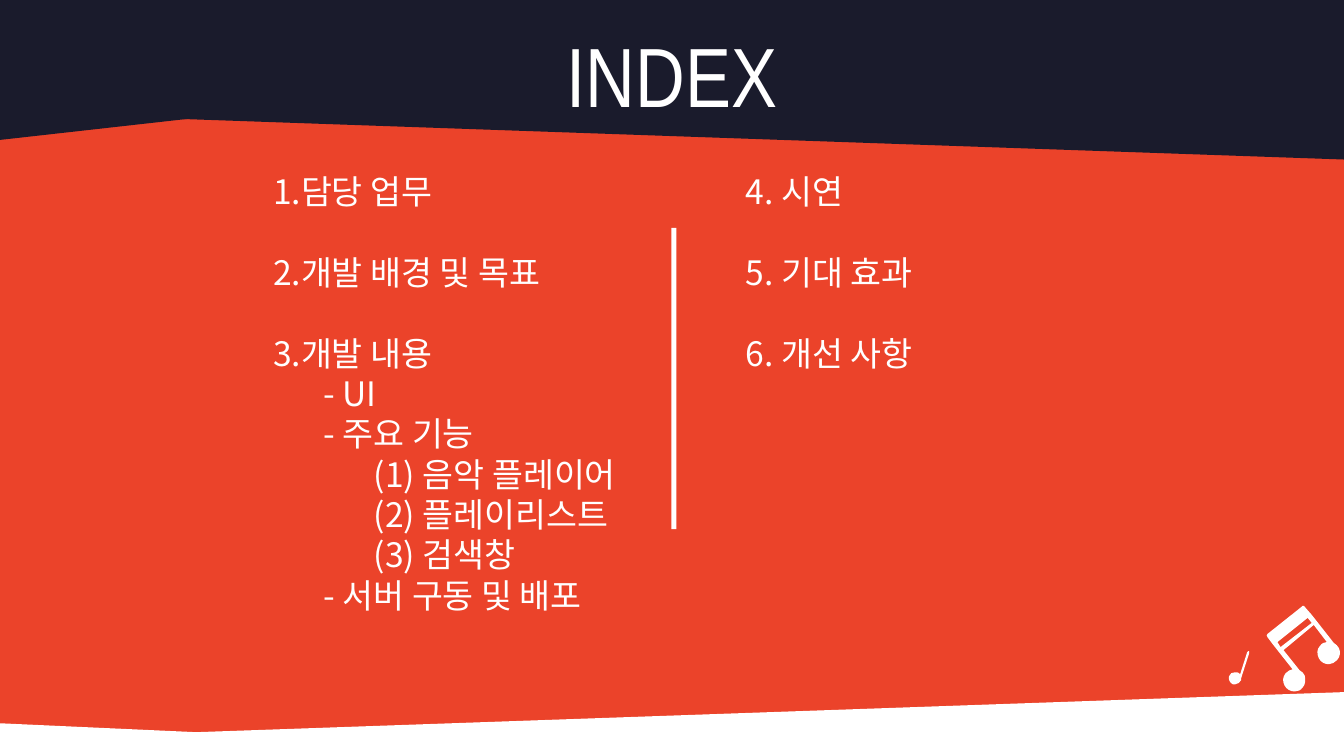
from lxml import etree
from pptx import Presentation
from pptx import util as u
from pptx.dml.color import RGBColor
from pptx.enum import shapes, text
from pptx.oxml import ns

COLORS = {"coral": "EB432A", "navy": "1A1B2C", "white": "FFFFFF"}
TITLE_FORMAT = {"name": "Arial Narrow", "size": u.Pt(60)}
LIST_FORMAT = {"name": "Noto Sans CJK KR", "size": u.Pt(24)}
LINE = u.Pt(28.8)

BANDS = [
    (-0.09, -0.72, 13.51, 2.07, 2, "navy"),
    (-0.11, 7.1, 13.54, 1.56, 358, "white"),
    (-1.3, -1.3, 13.51, 2.07, 353.6, "navy"),
    (-2.29, 7.38, 13.54, 1.56, 2.6, "white"),
]
LEFT_ITEMS = [
    ("담당 업무", 0),
    ("개발 배경 및 목표", 0),
    ("개발 내용", 0),
    ("- UI", 1),
    ("- 주요 기능", 1),
    ("(1) 음악 플레이어", 2),
    ("(2) 플레이리스트", 2),
    ("(3) 검색창", 2),
    ("- 서버 구동 및 배포", 1),
]
RIGHT_ITEMS = [("4. 시연", 0), ("5. 기대 효과", 0), ("6. 개선 사항", 0)]

SINGLE_NOTE = [[
    (12.38, 6.46), (12.38, 6.46, 12.37, 6.46, 12.37, 6.47), (12.3, 6.69),
    (12.29, 6.68, 12.28, 6.67, 12.27, 6.67), (12.26, 6.67, 12.25, 6.67, 12.25, 6.67),
    (12.22, 6.67, 12.2, 6.68, 12.19, 6.71), (12.18, 6.74, 12.2, 6.78, 12.23, 6.79),
    (12.23, 6.79, 12.24, 6.79, 12.25, 6.79), (12.27, 6.79, 12.3, 6.77, 12.31, 6.75),
    (12.31, 6.74, 12.31, 6.73, 12.31, 6.73), (12.39, 6.48),
    (12.4, 6.47, 12.39, 6.46, 12.39, 6.46), (12.38, 6.46, 12.38, 6.46, 12.38, 6.46),
]]
BEAMED_NOTES = [
    [(12.97, 6.13), (13.01, 6.18), (12.7, 6.42), (12.67, 6.37), (12.97, 6.13)],
    [
        (12.92, 6.01), (12.92, 6.01, 12.91, 6.01, 12.91, 6.02), (12.57, 6.29),
        (12.56, 6.3, 12.56, 6.31, 12.57, 6.32), (12.63, 6.4), (12.82, 6.64),
        (12.8, 6.64, 12.77, 6.66, 12.75, 6.68), (12.72, 6.72, 12.72, 6.76, 12.74, 6.8),
        (12.76, 6.84, 12.8, 6.86, 12.84, 6.86), (12.87, 6.86, 12.9, 6.85, 12.92, 6.82),
        (12.95, 6.79, 12.95, 6.74, 12.94, 6.7), (12.93, 6.68, 12.91, 6.66, 12.89, 6.65),
        (12.73, 6.45), (13.03, 6.2), (13.16, 6.37),
        (13.14, 6.37, 13.11, 6.38, 13.09, 6.41), (13.06, 6.44, 13.06, 6.49, 13.08, 6.53),
        (13.1, 6.57, 13.14, 6.59, 13.18, 6.59), (13.21, 6.59, 13.24, 6.57, 13.26, 6.55),
        (13.29, 6.52, 13.3, 6.47, 13.28, 6.43), (13.27, 6.41, 13.25, 6.39, 13.23, 6.38),
        (13.01, 6.1), (12.94, 6.02), (12.94, 6.01, 12.93, 6.01, 12.92, 6.01),
    ],
]


def color(name):
    return RGBColor.from_string(COLORS[name])


def paint(shape, name):
    shape.shadow.inherit = False
    shape.fill.solid()
    shape.fill.fore_color.rgb = color(name)
    shape.line.fill.background()


def add_bar(page, left, top, width, height, rotation, name):
    area = [u.Inches(value) for value in (left, top, width, height)]
    bar = page.shapes.add_shape(shapes.MSO_SHAPE.RECTANGLE, *area)
    bar.rotation = rotation
    paint(bar, name)


def bend(shape, segments):
    lines = list(shape._element.iter(ns.qn("a:lnTo")))
    for line, segment in zip(lines, segments):
        if len(segment) == 2:
            continue
        line.tag = ns.qn("a:cubicBezTo")
        for index in (0, 2):
            control = etree.Element(ns.qn("a:pt"))
            control.set("x", str(u.Inches(segment[index]) - shape.left))
            control.set("y", str(u.Inches(segment[index + 1]) - shape.top))
            line.insert(index // 2, control)


def add_note(page, outlines):
    builder = None
    for outline in outlines:
        points = [(u.Inches(segment[-2]), u.Inches(segment[-1])) for segment in outline]
        if builder is None:
            builder = page.shapes.build_freeform(*points[0])
        else:
            builder.move_to(*points[0])
        builder.add_line_segments(points[1:], close=True)
    note = builder.convert_to_shape()
    bend(note, [segment for outline in outlines for segment in outline[1:]])
    paint(note, "white")


def add_box(page, left, top, width, height, frame_format):
    area = [u.Inches(value) for value in (left, top, width, height)]
    frame = page.shapes.add_textbox(*area).text_frame
    for key, value in {"word_wrap": True, **frame_format}.items():
        setattr(frame, key, value)
    return frame


def add_span(para, wording, font_format):
    span = para.add_run()
    span.text = wording
    for key, value in font_format.items():
        setattr(span.font, key, value)
    span.font.color.rgb = color("white")


def add_title(page, wording):
    margins = {f"margin_{side}": u.Inches(0.1) for side in ("left", "top", "right", "bottom")}
    frame = add_box(page, 4.03, 0.13, 5.27, 1.22,
                    {"vertical_anchor": text.MSO_ANCHOR.BOTTOM, **margins})
    para = frame.paragraphs[0]
    para.alignment = text.PP_ALIGN.CENTER
    para.line_spacing = 0.9
    add_span(para, wording, TITLE_FORMAT)


def add_list(page, left, top, width, height, items, numbered=False):
    frame = add_box(page, left, top, width, height,
                    {"auto_size": text.MSO_AUTO_SIZE.SHAPE_TO_FIT_TEXT})
    for index, (wording, level) in enumerate(items):
        para = frame.add_paragraph() if index else frame.paragraphs[0]
        para.level = level
        para.line_spacing = LINE
        if index and level == 0:
            para.space_before = LINE
        properties = para._p.get_or_add_pPr()
        properties.set("marL", str(u.Inches(level * 0.5)))
        properties.set("indent", "0")
        if numbered and level == 0:
            number = etree.SubElement(properties, ns.qn("a:buAutoNum"))
            number.set("type", "arabicPeriod")
        add_span(para, wording, LIST_FORMAT)


def main():
    deck = Presentation()
    deck.slide_width, deck.slide_height = u.Inches(13.33), u.Inches(7.5)
    page = deck.slides.add_slide(deck.slide_layouts[6])
    page.background.fill.solid()
    page.background.fill.fore_color.rgb = color("coral")
    for band in BANDS:
        add_bar(page, *band)
    add_title(page, "INDEX")
    add_list(page, 2.61, 1.65, 4.28, 4.54, LEFT_ITEMS, numbered=True)
    add_list(page, 7.3, 1.65, 6.85, 2.12, RIGHT_ITEMS)
    add_bar(page, 6.66, 2.26, 0.05, 2.99, 0, "white")
    for outlines in (SINGLE_NOTE, BEAMED_NOTES):
        add_note(page, outlines)
    deck.save("out.pptx")


if __name__ == "__main__":
    main()
